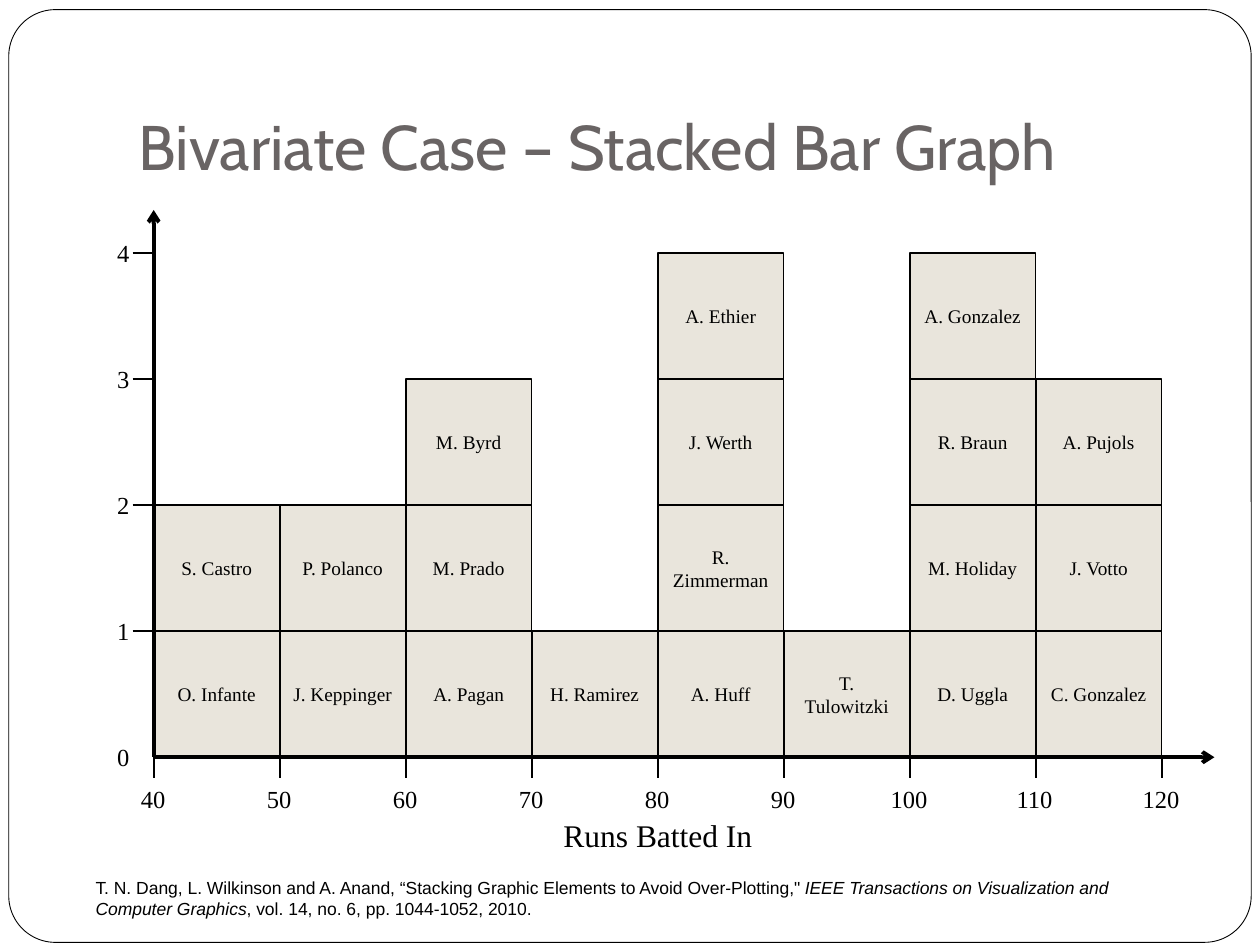
"""Builds a slide with a stacked bar graph of players by runs batted in."""
from lxml import etree
from pptx import Presentation, util as u
from pptx.dml.color import RGBColor
from pptx.enum import shapes, text
from pptx.oxml.ns import qn

COLORS = {"ink": "000000", "title": "696464", "bar": "E9E5DC", "paper": "FFFFFF"}
SERIF = "Times New Roman"
X0, Y0, UNIT = 87.84, 432.72, 72
TICK = 12
STACKS = [
    ["O. Infante", "S. Castro"],
    ["J. Keppinger", "P. Polanco"],
    ["A. Pagan", "M. Prado", "M. Byrd"],
    ["H. Ramirez"],
    ["A. Huff", "R. Zimmerman", "J. Werth", "A. Ethier"],
    ["T. Tulowitzki"],
    ["D. Uggla", "M. Holiday", "R. Braun", "A. Gonzalez"],
    ["C. Gonzalez", "J. Votto", "A. Pujols"],
]
CITATION = [
    ("T. N. Dang, L. Wilkinson and A. Anand, “Stacking Graphic Elements to Avoid Over-Plotting,\" ", False),
    ("IEEE Transactions on Visualization and Computer Graphics", True),
    (", vol. 14, no. 6, pp. 1044-1052, 2010.", False),
]


def rgb(name):
    return RGBColor.from_string(COLORS[name])


class Deck:
    def __init__(self, prs):
        self.s = prs.slides.add_slide(prs.slide_layouts[5])

    def add_runs(self, tf, runs, size, font=SERIF, color="ink", align=text.PP_ALIGN.LEFT):
        p = tf.paragraphs[0]
        p.alignment = align
        for words, italic in runs:
            r = p.add_run()
            r.text = words
            r.font.size, r.font.name, r.font.italic = u.Pt(size), font, italic
            r.font.color.rgb = rgb(color)

    def title(self, words, x, y, w, h):
        sp = self.s.shapes.title
        sp.left, sp.top, sp.width, sp.height = map(u.Pt, (x, y, w, h))
        tf = sp.text_frame
        tf.word_wrap = True
        tf.auto_size = text.MSO_AUTO_SIZE.NONE
        tf.vertical_anchor = text.MSO_ANCHOR.BOTTOM
        tf.margin_bottom = u.Pt(7.2)
        self.add_runs(tf, [(words, False)], 36, "Cabin", "title")

    def box(self, kind, x, y, w, h, fill, weight):
        sp = self.s.shapes.add_shape(kind, *map(u.Pt, (x, y, w, h)))
        sp.shadow.inherit = False
        sp.fill.solid()
        sp.fill.fore_color.rgb = rgb(fill)
        sp.line.color.rgb = rgb("ink")
        sp.line.width = u.Pt(weight)
        return sp

    def frame(self, x, y, w, h):
        sp = self.box(shapes.MSO_SHAPE.ROUNDED_RECTANGLE, x, y, w, h, "paper", 0.5)
        sp.adjustments[0] = 0.05
        self.s.shapes._spTree.insert(2, sp._element)

    def block(self, name, x, y):
        sp = self.box(shapes.MSO_SHAPE.RECTANGLE, x, y, UNIT, UNIT, "bar", 1)
        sp.text_frame.vertical_anchor = text.MSO_ANCHOR.MIDDLE
        self.add_runs(sp.text_frame, [(name, False)], 11, align=text.PP_ALIGN.CENTER)

    def line(self, x1, y1, x2, y2, weight=1, arrow=False):
        sp = self.s.shapes.add_connector(
            shapes.MSO_CONNECTOR.STRAIGHT, *map(u.Pt, (x1, y1, x2, y2)))
        sp.line.color.rgb = rgb("ink")
        sp.line.width = u.Pt(weight)
        if arrow:
            etree.SubElement(sp.line._get_or_add_ln(), qn("a:tailEnd"), type="arrow")
        etree.SubElement(sp._element.spPr, qn("a:effectLst"))

    def label(self, runs, x, y, w, h, size, wrap=False, **style):
        sp = self.s.shapes.add_textbox(*map(u.Pt, (x, y, w, h)))
        sp.text_frame.word_wrap = wrap
        self.add_runs(sp.text_frame, runs, size, **style)


def main():
    prs = Presentation()
    prs.slide_width, prs.slide_height = u.Pt(720), u.Pt(540)
    deck = Deck(prs)
    deck.frame(5, 5.5, 710, 533)
    deck.title("Bivariate Case – Stacked Bar Graph", 72, 21.6, 612, 90)

    for col, names in enumerate(STACKS):
        for row, name in enumerate(names, 1):
            deck.block(name, X0 + col * UNIT, Y0 - row * UNIT)

    deck.line(X0, Y0, X0, 120, 2.25, True)
    deck.line(X0, Y0, 694, Y0, 2.25, True)
    for i in range(len(STACKS) + 1):
        x, value = X0 + i * UNIT, str(40 + 10 * i)
        w = 7.2 * len(value) + 14.4
        deck.line(x, Y0, x, Y0 + TICK)
        deck.label([(value, False)], x - w / 2, Y0 + TICK, w, 24.2, 14)
    for i in range(5):
        y = Y0 - i * UNIT
        if i:
            deck.line(X0 - TICK, y, X0, y)
        deck.label([(str(i), False)], 59.8, y - TICK, 21.6, 24.2, 14)

    deck.label([("Runs Batted In", False)], 304, 463, 144, 29, 18, True,
               align=text.PP_ALIGN.CENTER)
    deck.label(CITATION, 47.5, 497.5, 633, 31.5, 10, True, font="Arial")
    prs.save("out.pptx")


if __name__ == "__main__":
    main()
